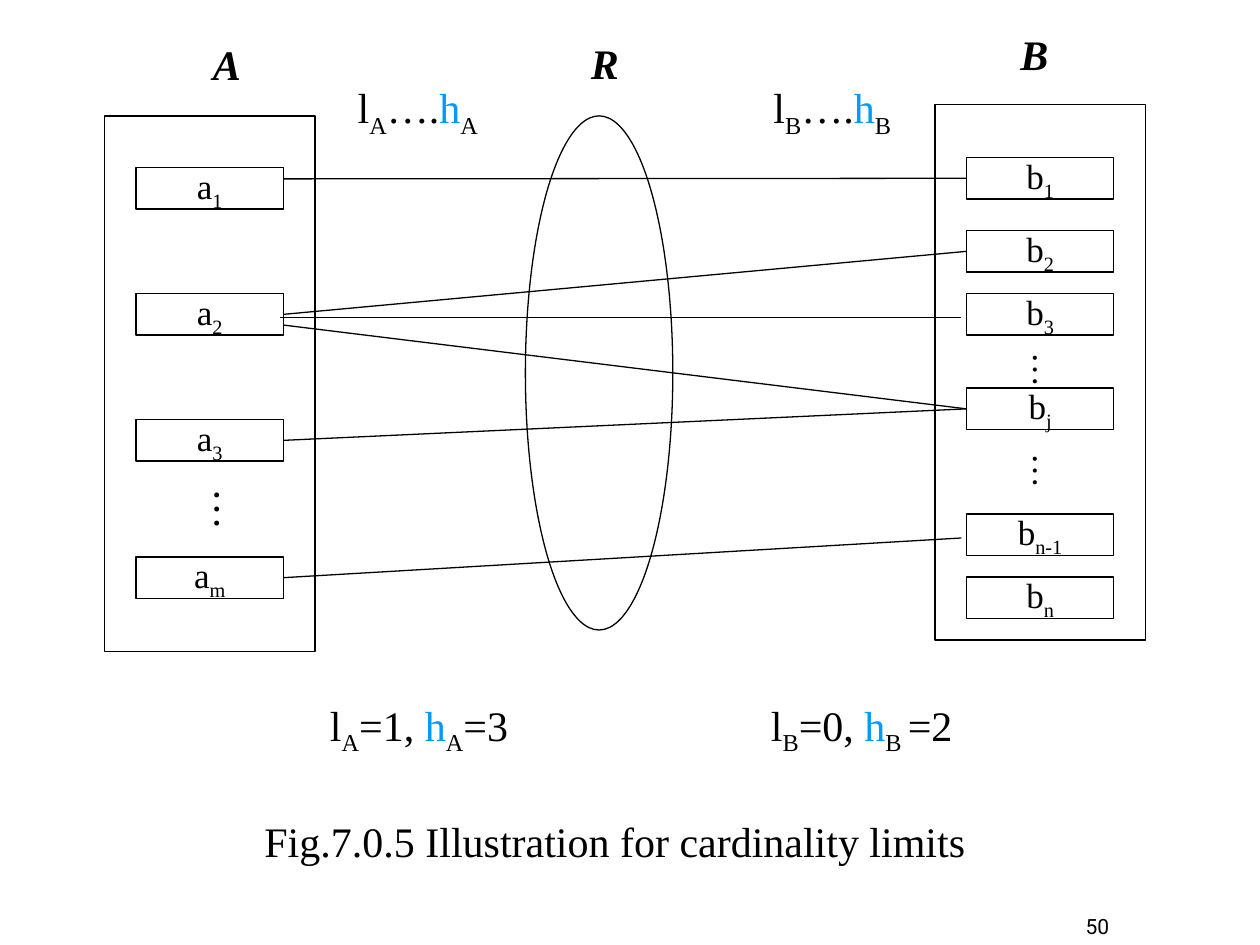
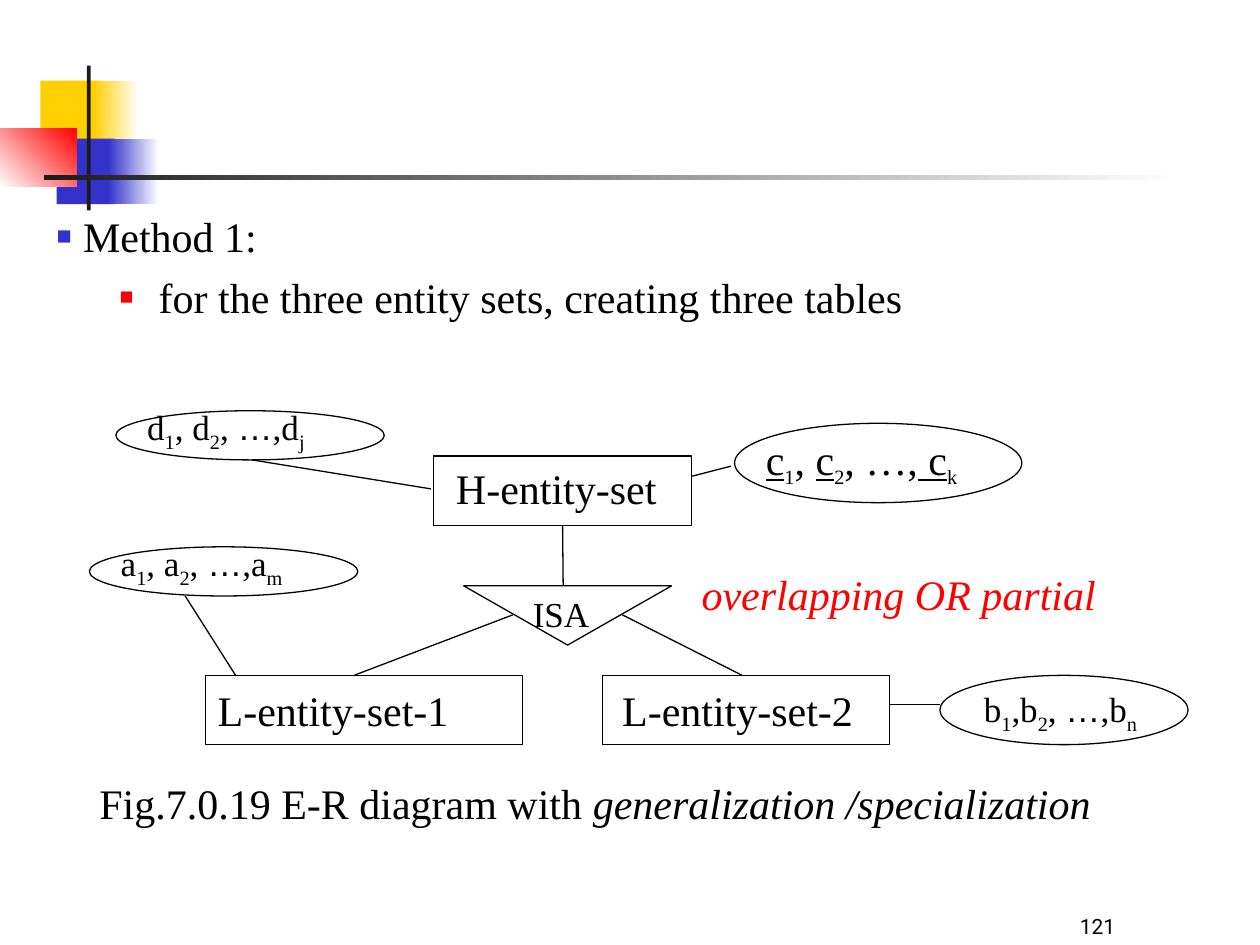
from typing import NamedTuple, Optional, Sequence, Union

from lxml.etree import SubElement
from pptx import Presentation
from pptx.dml.color import RGBColor
from pptx.enum.shapes import MSO_CONNECTOR, MSO_SHAPE
from pptx.enum.text import MSO_ANCHOR, MSO_AUTO_SIZE, PP_ALIGN
from pptx.oxml.ns import qn
from pptx.util import Inches, Pt

COLORS = {
    "ink": "000000", "paper": "FFFFFF", "high": "0099FF", "red": "FF0000",
    "yellow": "FFCF01", "blue": "3333CC", "rule": "1C1C1C",
}
SERIF = "Times New Roman"
RIGHT, LEFT, BOTTOM = 3, 1, 2


class Box(NamedTuple):
    left: float
    top: float
    width: float
    height: float


class Run(NamedTuple):
    text: str
    color: str = "ink"
    sub: bool = False
    bold: bool = False
    italic: bool = False
    underline: bool = False
    font: str = SERIF
    size: Optional[float] = None


class Band(NamedTuple):
    box: Box
    start: str
    end: Optional[str] = None
    angle: float = 0


class Bullet(NamedTuple):
    text: str
    level: int
    indent: float
    hang: float
    color: str
    percent: int
    space: float


class Link(NamedTuple):
    """A line; a joined end is a shape, a free end is a point."""
    start: object
    end: object


Text = Union[str, Sequence[Run]]

ACCENTS = [
    Band(Box(0.32, 0.64, 0.48, 0.52), "yellow"),
    Band(Box(0.74, 0.64, 0.36, 0.52), "yellow", "paper"),
    Band(Box(0.45, 1.1, 0.46, 0.52), "blue"),
    Band(Box(0.86, 1.1, 0.4, 0.52), "blue", "paper"),
    Band(Box(0, 1.02, 0.61, 0.46), "paper", "red", 45),
    Band(Box(0.69, 0.52, 0.03, 1.15), "rule"),
    Band(Box(0.35, 1.39, 9, 0.04), "rule", "paper"),
]


def rgb(name: str) -> RGBColor:
    return RGBColor.from_string(COLORS[name])


def inches(*lengths: float) -> list:
    return [Inches(length) for length in lengths]


# Text
def write(paragraph, text: Text, *, size: float = 24, align=None, **style) -> None:
    runs = [Run(text, **style)] if isinstance(text, str) else text
    paragraph.alignment = align
    for part in runs:
        run = paragraph.add_run()
        run.text = part.text
        font = run.font
        font.name, font.size = part.font, Pt(part.size or size)
        font.bold, font.italic, font.underline = part.bold, part.italic, part.underline
        font.color.rgb = rgb(part.color)
        if part.sub:
            font._element.set("baseline", "-25000")


def add_label(slide, text: Text, box: Box, *, wrap: bool = False,
              vertical: bool = False, **style) -> None:
    frame = slide.shapes.add_textbox(*inches(*box)).text_frame
    if vertical:
        frame._txBody.bodyPr.set("vert", "eaVert")
        frame.margin_left = frame.margin_right = Inches(0.05)
    frame.word_wrap = wrap
    frame.auto_size = MSO_AUTO_SIZE.SHAPE_TO_FIT_TEXT
    write(frame.paragraphs[0], text, **style)


def indexed(letter: str, index: str) -> list[Run]:
    return [Run(letter), Run(index, sub=True)]


def attributes(letter: str, last: str, gap: str = ", ") -> list[Run]:
    return [*indexed(letter, "1"), *indexed(gap + letter, "2"), Run(", "),
            Run("…", font="Arial"), *indexed("," + letter, last)]


def limits(side: str, middle: str, tail: str = "", gap: str = "") -> list[Run]:
    runs = [*indexed("l", side), Run(middle), Run("h", color="high"), Run(side + gap, sub=True)]
    return runs + [Run(tail)] if tail else runs


# Shapes and lines
def add_outline(slide, kind, box: Box, text: Text = ""):
    shape = slide.shapes.add_shape(kind, *inches(*box))
    shape.shadow.inherit = False
    shape.fill.background()
    shape.line.color.rgb = rgb("ink")
    shape.line.width = Pt(0.75)
    if text:
        frame = shape.text_frame
        frame.word_wrap = False
        frame.vertical_anchor = MSO_ANCHOR.MIDDLE
        write(frame.paragraphs[0], text, size=20, align=PP_ALIGN.CENTER)
    return shape


def add_link(slide, link: Link, start_site: int = RIGHT, end_site: int = LEFT) -> None:
    start_free, end_free = isinstance(link.start, tuple), isinstance(link.end, tuple)
    start = link.start if start_free else (0, 0)
    end = link.end if end_free else (0, 0)
    line = slide.shapes.add_connector(MSO_CONNECTOR.STRAIGHT, *inches(*start, *end))
    if not start_free:
        line.begin_connect(link.start, start_site)
    if not end_free:
        line.end_connect(link.end, end_site)
    line.line.color.rgb = rgb("ink")
    line.line.width = Pt(0.75)
    SubElement(line._element.spPr, qn("a:effectLst"))


def add_band(slide, band: Band) -> None:
    shape = slide.shapes.add_shape(MSO_SHAPE.RECTANGLE, *inches(*band.box))
    shape.shadow.inherit = False
    shape.line.fill.background()
    if band.end is None:
        shape.fill.solid()
        shape.fill.fore_color.rgb = rgb(band.start)
        return
    shape.fill.gradient()
    shape.fill.gradient_angle = band.angle
    for stop, color, position in zip(shape.fill.gradient_stops, (band.start, band.end), (0, 1)):
        stop.color.rgb = rgb(color)
        stop.position = position


def add_page_number(slide, number: int) -> None:
    frame = slide.shapes.add_textbox(*inches(7.67, 7, 2.08, 0.5)).text_frame
    frame.word_wrap = True
    frame.vertical_anchor = MSO_ANCHOR.BOTTOM
    write(frame.paragraphs[0], str(number), size=12, align=PP_ALIGN.CENTER, font="Roboto")


def add_bullet(paragraph, bullet: Bullet) -> None:
    paragraph.level = bullet.level
    paragraph.space_before = Pt(bullet.space)
    properties = paragraph._p.get_or_add_pPr()
    properties.set("marL", str(Inches(bullet.indent)))
    properties.set("indent", str(Inches(-bullet.hang)))
    color = SubElement(properties, qn("a:buClr"))
    SubElement(color, qn("a:srgbClr"), val=COLORS[bullet.color])
    SubElement(properties, qn("a:buSzPct"), val=str(bullet.percent * 1000))
    SubElement(properties, qn("a:buFont"), typeface="Arial")
    SubElement(properties, qn("a:buChar"), char="■")
    write(paragraph, bullet.text)


# Slide: cardinality limits
def build_cardinality(deck) -> None:
    slide = deck.slides.add_slide(deck.slide_layouts[6])

    # Entity sets and their members
    def add_members(letter: str, left: float, tops: dict[str, float]) -> dict:
        return {index: add_outline(slide, MSO_SHAPE.RECTANGLE, Box(left, top, 1.17, 0.33),
                                   indexed(letter, index))
                for index, top in tops.items()}

    for left, top in ((0.83, 0.92), (7.42, 0.83)):
        add_outline(slide, MSO_SHAPE.RECTANGLE, Box(left, top, 1.67, 4.25))
    a = add_members("a", 1.08, {"1": 1.33, "2": 2.33, "3": 3.33, "m": 4.42})
    b = add_members("b", 7.67, {"1": 1.25, "2": 1.83, "3": 2.33, "j": 3.08,
                                "n-1": 4.08, "n": 4.58})
    add_label(slide, "…", Box(1.49, 3.78, 0.6, 0.44), vertical=True)
    for top in (2.7, 3.5):
        add_label(slide, "…", Box(8, top, 0.53, 0.38), vertical=True, size=20)

    # Relationship
    add_outline(slide, MSO_SHAPE.OVAL, Box(4.17, 0.92, 1.17, 4.08))
    for link in (
        Link((2.25, 1.42), b["1"]),
        Link(a["2"], b["2"]),
        Link((2.22, 2.52), (7.63, 2.52)),
        Link((2.25, 2.58), b["j"]),
        Link(a["3"], b["j"]),
        Link(a["m"], (7.63, 4.27)),
    ):
        add_link(slide, link)

    # Names, limits and caption
    for name, left, top in (("A", 1.59, 0.26), ("R", 4.59, 0.25), ("B", 8, 0.18)):
        add_label(slide, name, Box(left, top, 0.42, 0.5), bold=True, italic=True)
    add_label(slide, limits("A", "…."), Box(2.74, 0.6, 1.2, 0.56), wrap=True)
    add_label(slide, limits("B", "…."), Box(6.04, 0.6, 1.2, 0.56), wrap=True)
    add_label(slide, limits("A", "=1, ", "=3"), Box(2.52, 5.5, 1.7, 0.56), wrap=True)
    add_label(slide, limits("B", "=0, ", "=2", gap=" "), Box(6.02, 5.5, 1.7, 0.56), wrap=True)
    add_label(slide, "Fig.7.0.5 Illustration for cardinality limits",
              Box(2, 6.42, 6.08, 0.5), wrap=True)
    add_page_number(slide, 50)


# Slide: generalization and specialization
def build_generalization(deck) -> None:
    slide = deck.slides.add_slide(deck.slide_layouts[1])
    title, body = slide.placeholders
    title._element.getparent().remove(title._element)
    for band in ACCENTS:
        add_band(slide, band)

    # Method
    body.left, body.top, body.width, body.height = inches(0.35, 1.62, 9.17, 5)
    frame = body.text_frame
    add_bullet(frame.paragraphs[0], Bullet("Method 1:", 0, 0.21, 0.21, "blue", 60, 0))
    add_bullet(frame.add_paragraph(),
               Bullet("for the three entity sets, creating three tables",
                      1, 0.81, 0.31, "red", 55, 6))

    # Entity sets
    higher, _, _ = [add_outline(slide, MSO_SHAPE.RECTANGLE, box) for box in (
        Box(3.44, 3.62, 2.05, 0.55), Box(1.63, 5.36, 2.52, 0.55), Box(4.78, 5.36, 2.28, 0.55))]
    add_label(slide, "H-entity-set", Box(3.52, 3.62, 1.79, 0.5))
    for number, left in ((1, 1.63), (2, 4.84)):
        add_label(slide, f"L-entity-set-{number}", Box(left, 5.38, 2.03, 0.5))
    add_outline(slide, MSO_SHAPE.FLOWCHART_MERGE, Box(3.68, 4.65, 1.65, 0.47))
    add_label(slide, "ISA", Box(4.13, 4.65, 0.65, 0.44), size=20)

    # Attributes
    for box in (Box(0.92, 3.26, 2.13, 0.39), Box(0.71, 4.34, 2.13, 0.39),
                Box(5.83, 3.36, 2.28, 0.63), Box(7.46, 5.36, 1.97, 0.55)):
        add_outline(slide, MSO_SHAPE.OVAL, box)
    for names, left, top in ((attributes("d", "j"), 1.07, 3.17),
                             (attributes("a", "m"), 0.86, 4.25),
                             (attributes("b", "n", gap=","), 7.71, 5.41)):
        add_label(slide, names, Box(left, top, 1.55, 0.48), wrap=True, size=20)
    key = []
    for lead, letter, index in (("", "c", "1"), (", ", "c", "2"), (", …,", " c", "k")):
        key += [Run(lead)] if lead else []
        key += [Run(letter, underline=True), Run(index, sub=True, size=20)]
    add_label(slide, key, Box(5.98, 3.39, 1.8, 0.54), wrap=True)

    # Links
    add_link(slide, Link(higher, (4.47, 4.65)), start_site=BOTTOM)
    for link in (
        Link((4.07, 4.88), (2.81, 5.36)),
        Link((4.94, 4.88), (5.89, 5.36)),
        Link((5.49, 3.78), (5.8, 3.7)),
        Link((7.06, 5.59), (7.46, 5.59)),
        Link((1.47, 4.73), (1.87, 5.36)),
        Link((2, 3.65), (3.42, 3.88)),
    ):
        add_link(slide, link)

    # Remark and caption
    add_label(slide, "overlapping OR partial", Box(5.47, 4.46, 3.33, 0.5),
              color="red", italic=True)
    add_label(slide, [Run("Fig.7.0.19 E-R diagram with "),
                      Run("generalization /specialization", italic=True)],
              Box(0.69, 6.12, 8.23, 0.5))
    add_page_number(slide, 121)


def main() -> None:
    deck = Presentation()
    deck.slide_width, deck.slide_height = inches(10, 7.5)
    build_cardinality(deck)
    build_generalization(deck)
    deck.save("out.pptx")


if __name__ == "__main__":
    main()
